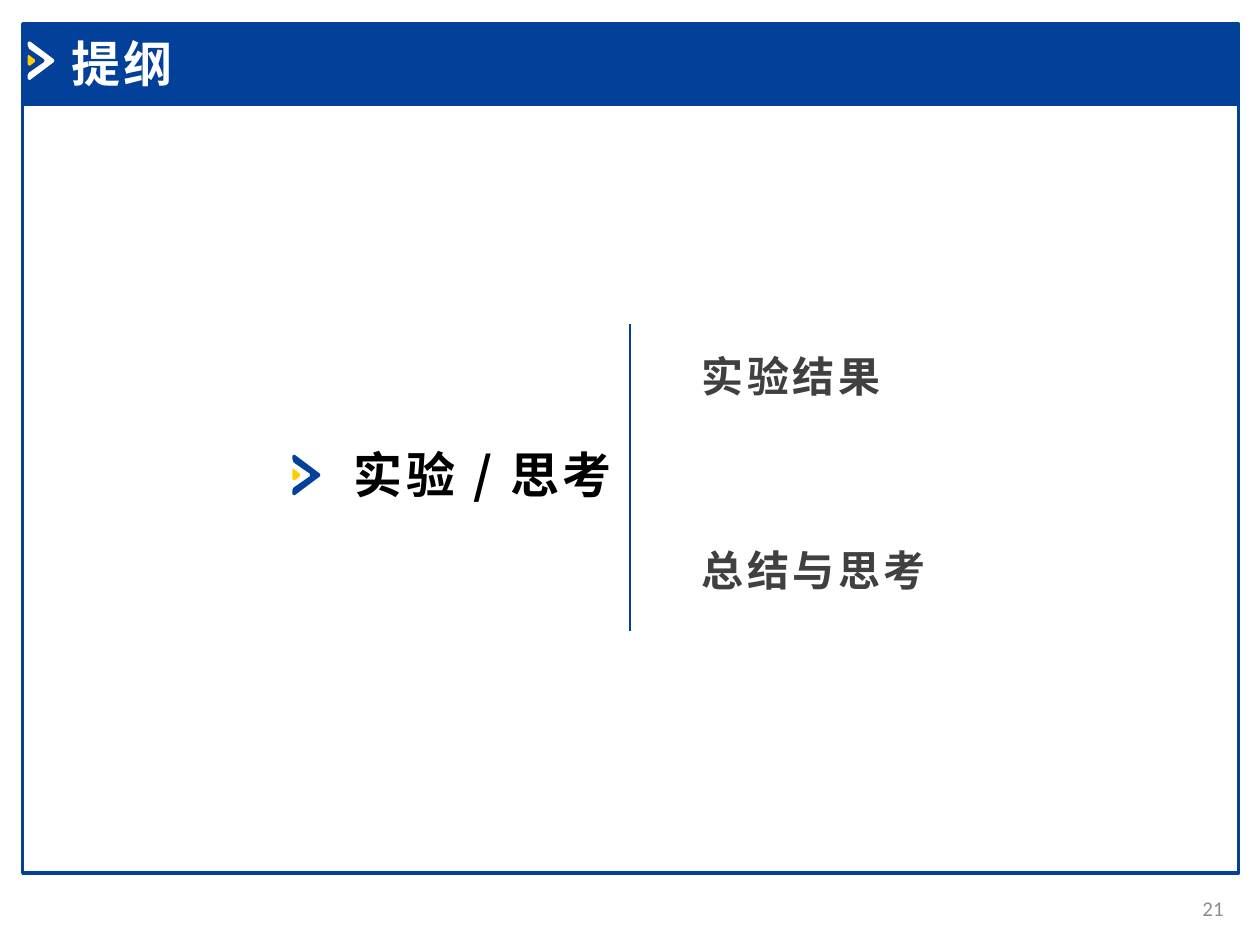
"""Build the outline slide for the experiment and reflection section."""
from lxml import etree
from pptx import Presentation
from pptx.dml.color import RGBColor
from pptx.enum import shapes, text
from pptx.oxml.ns import qn
from pptx.util import Inches, Pt

BLUE = RGBColor(0x02, 0x40, 0x9A)
YELLOW = RGBColor(0xFF, 0xCC, 0x00)
WHITE = RGBColor(0xFF, 0xFF, 0xFF)
BLACK = RGBColor(0x00, 0x00, 0x00)
DARK_GREY = RGBColor(0x40, 0x40, 0x40)
LIGHT_GREY = RGBColor(0x8C, 0x8C, 0x8C)
CJK_FONT = "Noto Sans CJK SC"
LATIN_FONT = "Calibri"

CHEVRON = [(0.01, 0), (0, 0.01), (0, 0.03), (0.01, 0.06), (0.14, 0.15), (0.14, 0.17),
           (0.01, 0.26), (0, 0.28), (0, 0.31), (0.01, 0.32), (0.02, 0.32),
           (0.22, 0.17), (0.22, 0.15), (0.02, 0)]
TRIANGLE = [(0.01, 0.11), (0, 0.12), (0, 0.19), (0.01, 0.2), (0.02, 0.2),
            (0.06, 0.17), (0.06, 0.15), (0.02, 0.12)]


def add_box(slide, left, top, width, height, fill=None):
    """Add a blue-outlined rectangle, filled when a colour is given."""
    shape = slide.shapes.add_shape(shapes.MSO_SHAPE.RECTANGLE, Inches(left), Inches(top),
                                   Inches(width), Inches(height))
    shape.shadow.inherit = False
    if fill is None:
        shape.fill.background()
    else:
        shape.fill.solid()
        shape.fill.fore_color.rgb = fill
    shape.line.color.rgb = BLUE
    shape.line.width = Pt(2)


def add_outline(slide, points, left, top, scale, color):
    """Add a closed polygon whose points are inches from the given corner."""
    corners = [(Inches(left + x * scale), Inches(top + y * scale)) for x, y in points]
    builder = slide.shapes.build_freeform(*corners[0])
    builder.add_line_segments(corners[1:], close=True)
    shape = builder.convert_to_shape()
    shape.shadow.inherit = False
    shape.fill.solid()
    shape.fill.fore_color.rgb = color
    shape.line.fill.background()


def add_marker(slide, left, top, color, scale=1):
    """Add a chevron with a small yellow triangle inside."""
    add_outline(slide, CHEVRON, left, top, scale, color)
    add_outline(slide, TRIANGLE, left, top, scale, YELLOW)


def add_heading(slide, wording, left, top, width, height, size, color, font=CJK_FONT):
    """Add a bold, letter-spaced line of text."""
    shape = slide.shapes.add_textbox(Inches(left), Inches(top), Inches(width), Inches(height))
    frame = shape.text_frame
    frame.word_wrap = True
    frame.auto_size = text.MSO_AUTO_SIZE.SHAPE_TO_FIT_TEXT
    frame.text = wording
    run = frame.paragraphs[0].runs[0]
    run.font.size = Pt(size)
    run.font.bold = True
    run.font.color.rgb = color
    run.font.name = font
    properties = run._r.get_or_add_rPr()
    properties.set("spc", "200")
    etree.SubElement(properties, qn("a:ea")).set("typeface", CJK_FONT)


def add_page_number(slide, number):
    """Add the right-aligned page number below the frame."""
    shape = slide.shapes.add_textbox(Inches(9.22), Inches(7.01), Inches(0.59), Inches(0.4))
    frame = shape.text_frame
    frame.word_wrap = True
    frame.vertical_anchor = text.MSO_ANCHOR.MIDDLE
    frame.text = number
    paragraph = frame.paragraphs[0]
    paragraph.alignment = text.PP_ALIGN.RIGHT
    font = paragraph.runs[0].font
    font.size = Pt(12)
    font.name = LATIN_FONT
    font.color.rgb = LIGHT_GREY


def add_divider(slide, x, top, bottom):
    """Add a vertical blue line."""
    line = slide.shapes.add_connector(shapes.MSO_CONNECTOR.STRAIGHT, Inches(x), Inches(top),
                                      Inches(x), Inches(bottom))
    line.line.color.rgb = BLUE
    line.line.width = Pt(1.5)
    etree.SubElement(line._element.spPr, qn("a:effectLst"))


def main():
    """Build and save the slide."""
    presentation = Presentation()
    presentation.slide_width = Inches(10)
    presentation.slide_height = Inches(7.5)
    slide = presentation.slides.add_slide(presentation.slide_layouts[6])

    add_box(slide, 0.18, 0.83, 9.65, 6.1)
    add_box(slide, 0.18, 0.19, 9.65, 0.64, BLUE)
    add_marker(slide, 0.22, 0.33, WHITE, 0.95)
    add_page_number(slide, "21")
    add_heading(slide, "提纲", 0.47, 0.22, 3.56, 0.57, 28, WHITE, LATIN_FONT)

    add_heading(slide, "实验 / 思考", 2.71, 3.48, 2.36, 0.57, 28, BLACK)
    add_marker(slide, 2.32, 3.61, BLUE)
    add_heading(slide, "总结与思考", 5.47, 4.27, 3.03, 0.5, 24, DARK_GREY)
    add_heading(slide, "实验结果", 5.47, 2.73, 2.58, 0.5, 24, DARK_GREY)
    add_divider(slide, 5, 2.57, 5.01)
    presentation.save("out.pptx")


if __name__ == "__main__":
    main()
